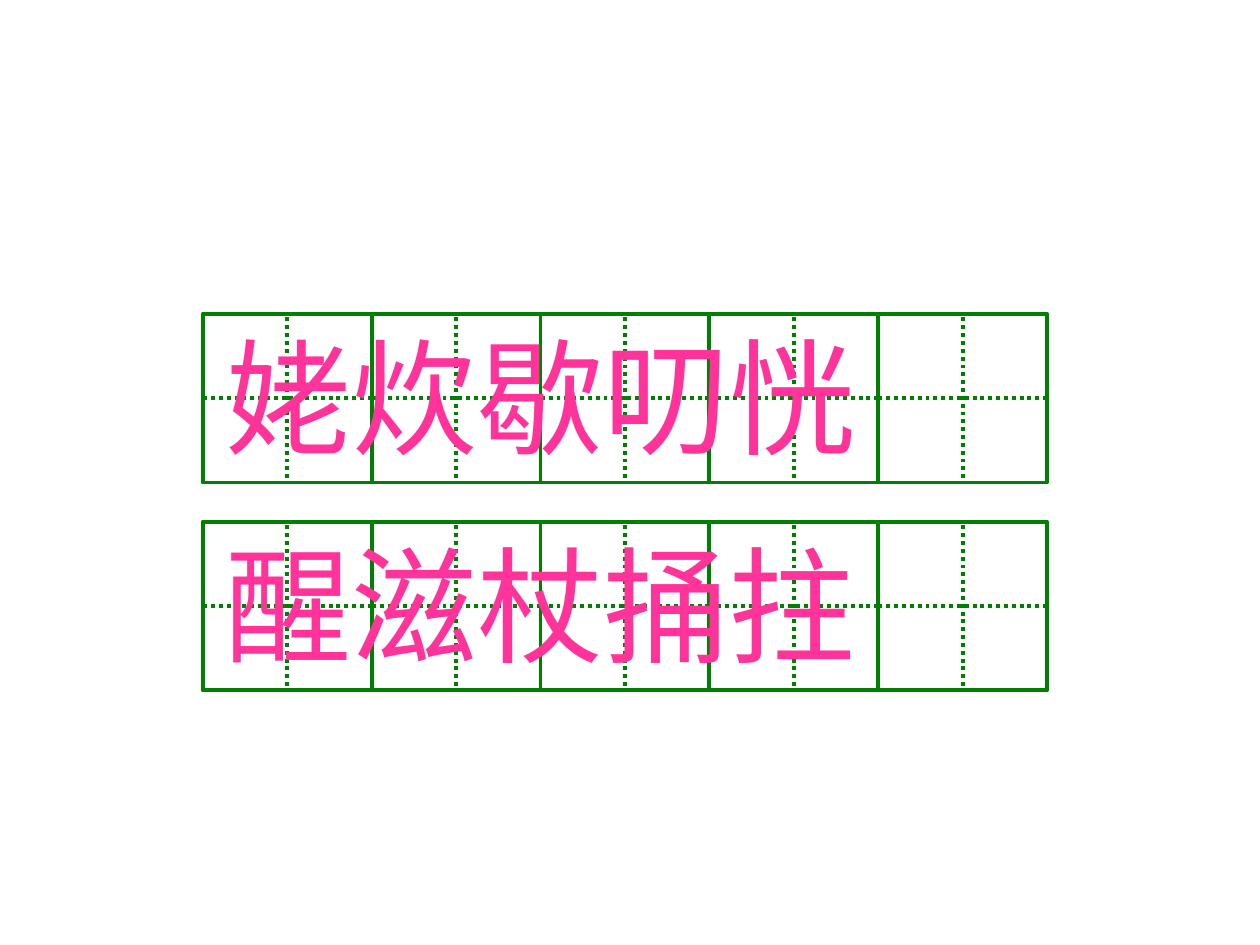
from dataclasses import dataclass

from pptx import Presentation
from pptx.dml.color import RGBColor
from pptx.enum.dml import MSO_LINE_DASH_STYLE as Dash
from pptx.enum.shapes import MSO_AUTO_SHAPE_TYPE as Preset
from pptx.enum.shapes import MSO_CONNECTOR_TYPE as Connector
from pptx.enum.text import MSO_AUTO_SIZE as AutoSize
from pptx.oxml.ns import qn
from pptx.util import Inches, Pt
from lxml.etree import SubElement

GREEN, PINK, WHITE = "008000", "FF3399", "FFFFFF"
CELL = 1.34
COLUMNS = 5
GRID_LEFT = 1.61
TEXT_INDENT = 0.08
TEXT_HEIGHT = 1.3
GUIDE_INSET = 0.03
TOP, LEFT, BOTTOM, RIGHT = range(4)


@dataclass(frozen=True)
class PracticeRow:
    """A row of writing squares and the characters written over it."""

    characters: str
    top: float


ROWS = [PracticeRow("醒滋杖捅拄", 4.14), PracticeRow("姥炊歇叨恍", 2.49)]


def rgb(value: str) -> RGBColor:
    """Turn a hex string into a colour."""
    return RGBColor.from_string(value)


def style_line(line, dash=None) -> None:
    """Give an outline or guide the green pen of the grid."""
    line.color.rgb = rgb(GREEN)
    line.width = Pt(2.25)
    if dash is not None:
        line.dash_style = dash


def add_guide(group, start: tuple[float, float], end: tuple[float, float]):
    """Draw a dotted guide line between two points in inches."""
    guide = group.shapes.add_connector(
        Connector.STRAIGHT, *(Inches(length) for length in start + end)
    )
    style_line(guide.line, Dash.ROUND_DOT)
    SubElement(guide._element.spPr, qn("a:effectLst"))
    return guide


def add_square(slide, left: float, top: float) -> None:
    """Draw one writing square, quartered by dotted guides."""
    group = slide.shapes.add_group_shape()
    square = group.shapes.add_shape(
        Preset.RECTANGLE, Inches(left), Inches(top), Inches(CELL), Inches(CELL)
    )
    square.shadow.inherit = False
    square.fill.solid()
    square.fill.fore_color.rgb = rgb(WHITE)
    style_line(square.line)

    middle_x, middle_y = left + CELL / 2, top + CELL / 2
    across = add_guide(group, (left + CELL, middle_y), (left, middle_y))
    across.begin_connect(square, RIGHT)
    across.end_connect(square, LEFT)
    down = add_guide(group, (middle_x, top + GUIDE_INSET), (middle_x, top + CELL))
    down.end_connect(square, BOTTOM)


def add_text(slide, text: str, *, left: float, top: float, width: float,
             height: float, size: float, color: str, font: str = "Arial") -> None:
    """Place a wrapped line of text in the given format."""
    box = slide.shapes.add_textbox(
        Inches(left), Inches(top), Inches(width), Inches(height)
    )
    frame = box.text_frame
    frame.word_wrap = True
    frame.auto_size = AutoSize.SHAPE_TO_FIT_TEXT
    run = frame.paragraphs[0].add_run()
    run.text = text
    run.font.name = font
    run.font.size = Pt(size)
    run.font.color.rgb = rgb(color)


def add_row(slide, row: PracticeRow) -> None:
    """Draw a row of squares with its characters on top."""
    for column in range(COLUMNS):
        add_square(slide, GRID_LEFT + column * CELL, row.top)
    add_text(slide, row.characters, left=GRID_LEFT + TEXT_INDENT, top=row.top,
             width=COLUMNS * CELL - TEXT_INDENT, height=TEXT_HEIGHT,
             size=72, color=PINK)


def main() -> None:
    """Build and save the character practice slide."""
    deck = Presentation()
    deck.slide_width, deck.slide_height = Inches(10), Inches(7.5)
    slide = deck.slides.add_slide(deck.slide_layouts[6])
    for row in ROWS:
        add_row(slide, row)
    deck.save("out.pptx")


if __name__ == "__main__":
    main()
